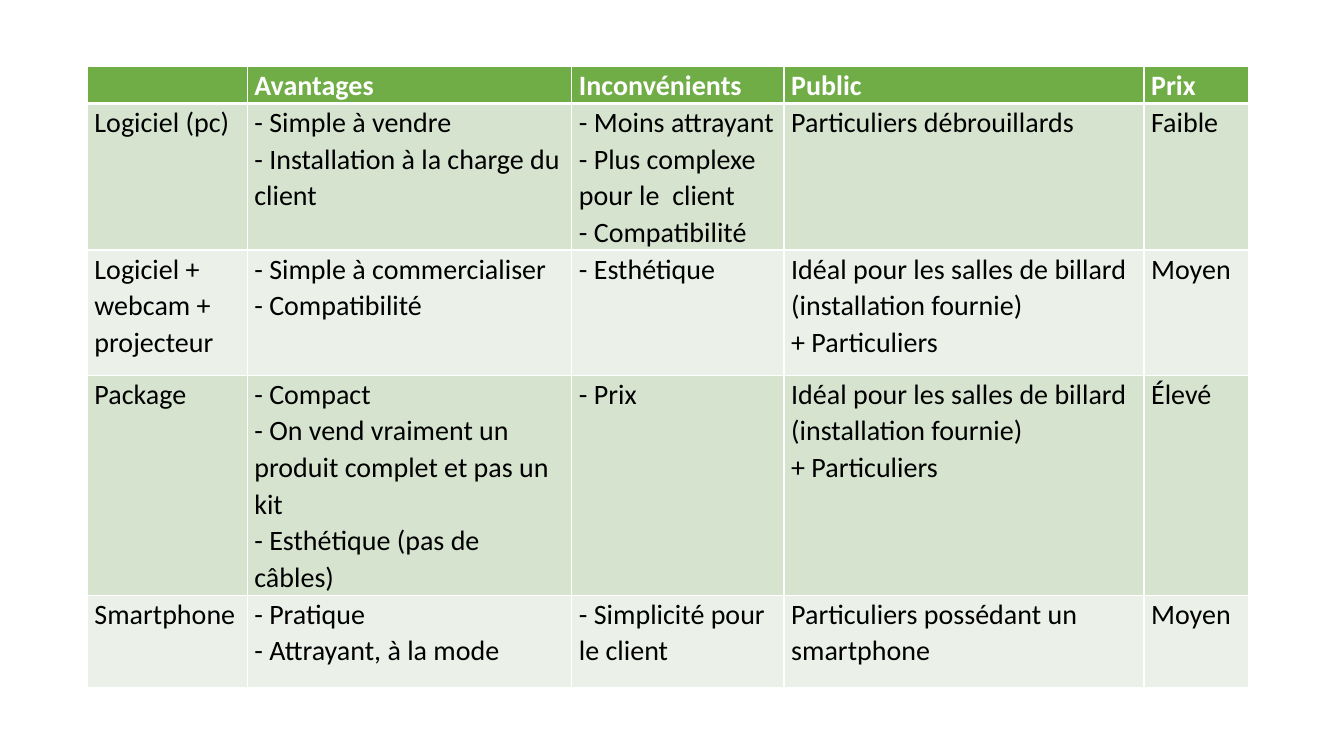
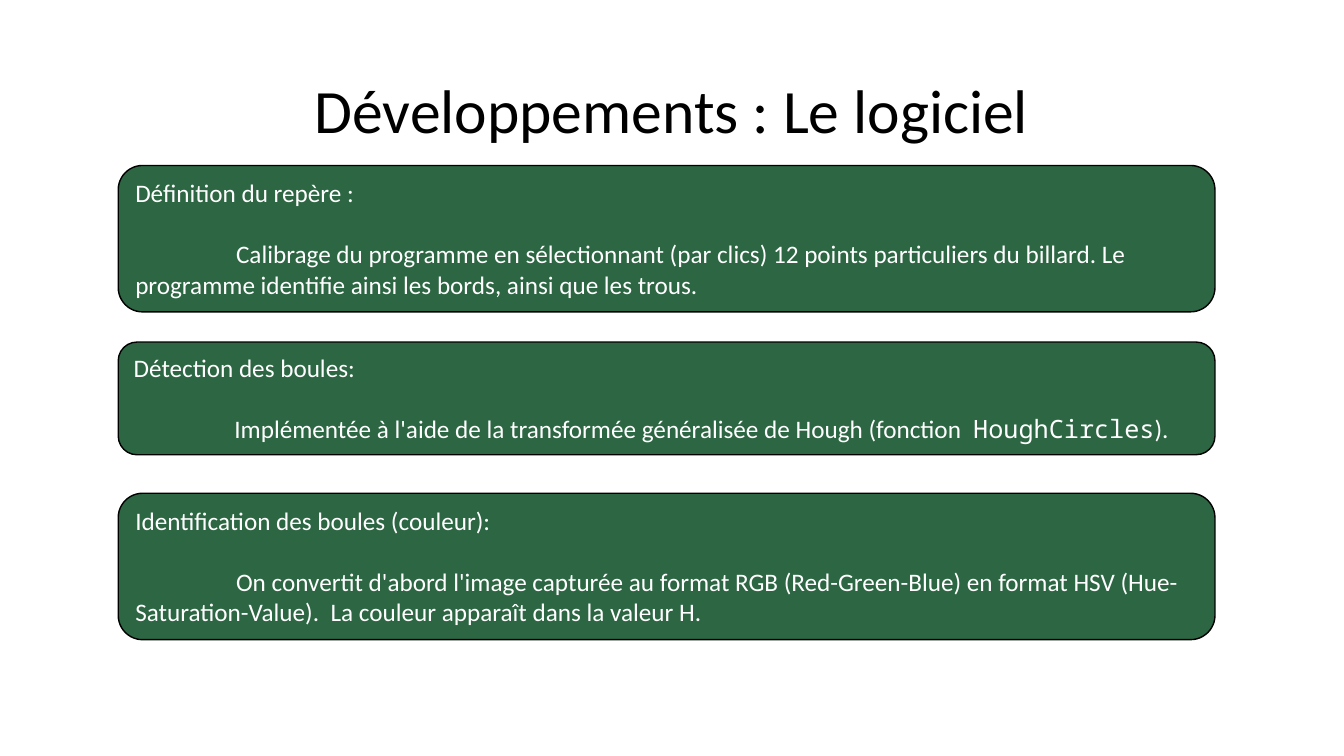
from lxml.etree import SubElement
from pptx import Presentation
from pptx.dml.color import RGBColor
from pptx.enum.shapes import MSO_SHAPE as Shape
from pptx.enum.text import MSO_ANCHOR as Anchor, PP_ALIGN as Align
from pptx.oxml.ns import qn
from pptx.util import Cm, Pt

# Shared style
COLOURS = {
    "white": "FFFFFF", "black": "000000", "header": "70AD47",
    "band_dark": "D5E3CF", "band_light": "EBF1E9", "panel": "2C6642",
}
FONT, CODE_FONT = "Calibri", "Noto Sans Mono"

# Content: each table cell is a list of paragraphs
HALLS = ["Idéal pour les salles de billard (installation fournie)", "+ Particuliers"]
OFFERS = [
    [[], ["Avantages"], ["Inconvénients"], ["Public"], ["Prix"]],
    [["Logiciel (pc)"],
     ["- Simple à vendre", "- Installation à la charge du client"],
     ["- Moins attrayant", "- Plus complexe pour le  client", "- Compatibilité"],
     ["Particuliers débrouillards"], ["Faible"]],
    [["Logiciel + webcam + projecteur"],
     ["- Simple à commercialiser", "- Compatibilité"],
     ["- Esthétique"], HALLS, ["Moyen"]],
    [["Package"],
     ["- Compact", "- On vend vraiment un produit complet et pas un kit",
      "- Esthétique (pas de câbles)"],
     ["- Prix"], HALLS, ["Élevé"]],
    [["Smartphone"],
     ["- Pratique", "- Attrayant, à la mode"],
     ["- Simplicité pour le client"],
     ["Particuliers possédant un smartphone"], ["Moyen"]],
]
COLUMN_WIDTHS = [4.03, 8.18, 5.35, 9.07, 2.63]
ROW_HEIGHTS = [0.85, 3.67, 3.15, 4.75, 2.33]

TITLE = "Développements : Le logiciel"
# Panels: top, height, heading, then (text, font) spans of the body
PANELS = [
    (4.17, 3.69, "Définition du repère :",
     [("Calibrage du programme en sélectionnant (par clics) 12 points particuliers "
       "du billard. Le programme identifie ainsi les bords, ainsi que les trous.", FONT)]),
    (8.62, 2.84, "Détection des boules:",
     [("Implémentée à l'aide de la transformée généralisée de Hough (fonction  ", FONT),
      ("HoughCircles", CODE_FONT), (").", FONT)]),
    (12.43, 3.69, "Identification des boules (couleur):",
     [("On convertit d'abord l'image capturée au format RGB (Red-Green-Blue) en format "
       "HSV (Hue-Saturation-Value).  La couleur apparaît dans la valeur H.", FONT)]),
]


def rgb(name):
    return RGBColor.from_string(COLOURS[name])


def write(frame, paragraphs, size, colour, bold=False, align=Align.LEFT,
          spacing=None, gap=0, indent=0):
    """Fill a frame; gap and indent apply to every paragraph after the first."""
    frame.word_wrap = True
    for index, spans in enumerate(paragraphs):
        para = frame.add_paragraph() if index else frame.paragraphs[0]
        para.alignment = align
        if spacing:
            para.line_spacing = spacing
        if index and gap:
            para.space_before = Pt(gap)
        if index and indent:
            para._p.get_or_add_pPr().set("indent", str(Cm(indent)))
        for text, font in ([(spans, FONT)] if isinstance(spans, str) else spans):
            span = para.add_run()
            span.text = text
            span.font.name, span.font.size, span.font.bold = font, Pt(size), bold
            span.font.color.rgb = rgb(colour)


def set_borders(cell, top=1, bottom=1):
    properties = cell._tc.get_or_add_tcPr()
    widths = {"a:lnL": 1, "a:lnR": 1, "a:lnT": top, "a:lnB": bottom}
    for index, (tag, width) in enumerate(widths.items()):
        line = SubElement(properties, qn(tag), w=str(Pt(width)))
        fill = SubElement(line, qn("a:solidFill"))
        SubElement(fill, qn("a:srgbClr"), val=COLOURS["white"])
        properties.insert(index, line)


def add_offer_table(page):
    table = page.shapes.add_table(
        len(OFFERS), len(COLUMN_WIDTHS), Cm(2.2), Cm(1.68),
        Cm(sum(COLUMN_WIDTHS)), Cm(sum(ROW_HEIGHTS))).table
    for column, width in zip(table.columns, COLUMN_WIDTHS):
        column.width = Cm(width)
    for index, (row, height) in enumerate(zip(table.rows, ROW_HEIGHTS)):
        row.height = Cm(height)
        is_header = index == 0
        fill = "header" if is_header else ("band_light", "band_dark")[index % 2]
        for cell, paragraphs in zip(row.cells, OFFERS[index]):
            cell.margin_left = cell.margin_right = Cm(0.18)
            cell.margin_top = cell.margin_bottom = 0
            cell.fill.solid()
            cell.fill.fore_color.rgb = rgb(fill)
            set_borders(cell, top=3 if index == 1 else 1, bottom=3 if is_header else 1)
            write(cell.text_frame, paragraphs, 20, "white" if is_header else "black",
                  bold=is_header, spacing=1.07)


def add_title(page, text):
    box = page.shapes.add_textbox(Cm(2.33), Cm(1.01), Cm(29.21), Cm(3.68))
    box.text_frame.vertical_anchor = Anchor.MIDDLE
    write(box.text_frame, [text], 44, "black", align=Align.CENTER, spacing=0.9)


def add_panel(page, top, height, heading, body):
    panel = page.shapes.add_shape(
        Shape.ROUNDED_RECTANGLE, Cm(2.98), Cm(top), Cm(27.64), Cm(height))
    panel.shadow.inherit = False
    panel.fill.solid()
    panel.fill.fore_color.rgb = rgb("panel")
    panel.line.color.rgb = rgb("black")
    panel.line.width = Pt(1)
    panel.text_frame.vertical_anchor = Anchor.TOP
    write(panel.text_frame, [heading, body], 18, "white", gap=22, indent=2.54)


def main():
    deck = Presentation()
    deck.slide_width, deck.slide_height = Cm(33.87), Cm(19.05)
    blank = deck.slide_layouts[6]

    # Comparison of the offers
    add_offer_table(deck.slides.add_slide(blank))

    # Software development steps
    software_page = deck.slides.add_slide(blank)
    add_title(software_page, TITLE)
    for panel in PANELS:
        add_panel(software_page, *panel)

    deck.save("out.pptx")


if __name__ == "__main__":
    main()
